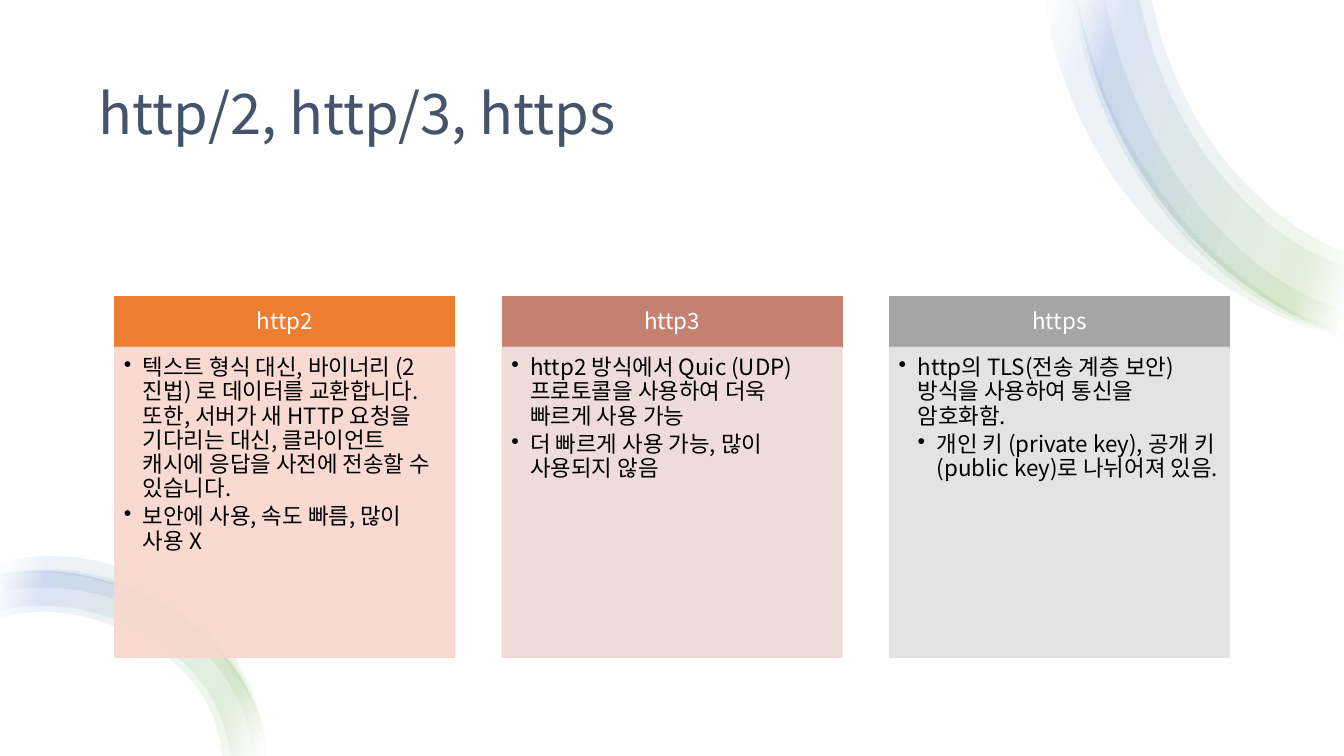
"""Build the slide comparing http/2, http/3 and https."""
import math
from dataclasses import dataclass

from lxml import etree
from pptx import Presentation
from pptx import util as u
from pptx.dml.color import RGBColor
from pptx.enum import shapes, text
from pptx.oxml.ns import qn

COLORS = {
    "white": "FFFFFF", "ink": "000000", "title": "44546A",
    "green": "70AD47", "blue": "4472C4",
    "orange": "ED7D31", "peach": "F8D7CE",
    "clay": "C48170", "rose": "EDD9D7",
    "gray": "A5A5A5", "mist": "E1E1E1",
}
FONT = "Noto Sans CJK KR"
CELL = u.Inches(0.1)
COLUMNS, ROWS = 133.33, 75
FIRST_COLUMN, COLUMN_STEP, CARD_COLUMNS = 11.4, 38.43, 33.7
HEADER_ROW, HEADER_ROWS, BODY_ROWS = 29.42, 5.04, 30.74
RIBBON_STOPS = ((2, "white"), (16, "green"), (85, "blue"), (100, "white"))

Curve = list[tuple[float, float]]


@dataclass(frozen=True)
class Ribbon:
    """A band between two curves, in grid cells."""
    outer: Curve
    inner: Curve


@dataclass(frozen=True)
class Point:
    """A bulleted statement and its outline level."""
    words: str
    level: int = 1


@dataclass(frozen=True)
class Card:
    """A protocol with its colours and statements."""
    protocol: str
    header: str
    body: str
    points: tuple[Point, ...]


TOP_EDGE = [(106.7, -0.9), (109.9, 10.7), (115.2, 20), (122.4, 27.4), (130.9, 32.4), (133.3, 33.2)]
BOTTOM_EDGE = [(0, 57.2), (4, 56.7), (11.7, 58), (18.5, 61.6), (23.6, 66.9), (26.2, 73.5), (26.3, 75)]

RIBBONS = (
    Ribbon([(103.6, -0.9), (104.1, 2.6), (107.8, 13.1), (111.6, 19.2), (116.5, 24.5),
            (122.1, 28.7), (128.2, 31.9), (133.3, 33.5)],
           [(106.8, -0.9), (108.2, 5.2), (110.6, 11.5), (114, 17.3), (118.1, 22.7),
            (123, 27.3), (128.6, 31), (133.3, 32.8)]),
    Ribbon(TOP_EDGE, [(114.1, -0.9), (115.8, 5.5), (121.9, 16.4), (130.7, 23.8), (133.3, 25.1)]),
    Ribbon([(106.3, -0.9), (106.8, 2), (109.9, 11.9), (113.2, 17.9), (117.3, 23.3),
            (122.3, 27.9), (127.9, 31.4), (133.3, 33.3)],
           [(109.6, -0.9), (110.7, 4.4), (112.9, 10.4), (119.5, 21.1), (123.9, 25.5),
            (129, 29), (133.3, 30.8)]),
    Ribbon(TOP_EDGE, [(112.9, -0.9), (114.7, 5.9), (121, 17.2), (130.1, 25), (133.3, 26.4)]),
    Ribbon(BOTTOM_EDGE, [(0, 61.3), (4, 60.7), (10.7, 61.9), (16.6, 65.2), (20.6, 70), (22, 75)]),
    Ribbon(BOTTOM_EDGE, [(0, 60.6), (4, 60.1), (10.9, 61.3), (17, 64.7), (21.2, 69.7), (22.8, 75)]),
    Ribbon([(0, 57.1), (3.1, 56.6), (6.9, 56.7), (14.2, 58.7), (20.3, 62.7), (24.7, 68.5), (26.3, 75)],
           [(0, 58.8), (3.3, 58.4), (6.7, 58.5), (13.4, 60.3), (19.2, 63.9), (23.4, 69.1), (25.1, 75)]),
    Ribbon([(0, 55.9), (3.1, 55.3), (7.1, 55.3), (14.8, 57.5), (19.6, 60.9), (23.3, 65.3),
            (25, 68.7), (26.4, 75)],
           [(0, 57.2), (3.2, 56.8), (6.9, 57), (12.2, 58.4), (17.1, 60.9), (22.5, 65.8),
            (25.2, 70.5), (26.2, 75)]),
)

CARDS = (
    Card("http2", "orange", "peach", (
        Point("텍스트 형식 대신, 바이너리 (2진법) 로 데이터를 교환합니다. 또한, 서버가 새 HTTP 요청을 "
              "기다리는 대신, 클라이언트 캐시에 응답을 사전에 전송할 수 있습니다."),
        Point("보안에 사용, 속도 빠름, 많이 사용 X"))),
    Card("http3", "clay", "rose", (
        Point("http2 방식에서 Quic (UDP) 프로토콜을 사용하여 더욱 빠르게 사용 가능"),
        Point("더 빠르게 사용 가능, 많이 사용되지 않음"))),
    Card("https", "gray", "mist", (
        Point("http의 TLS(전송 계층 보안)방식을 사용하여 통신을 암호화함."),
        Point("개인 키 (private key), 공개 키 (public key)로 나뉘어져 있음.", 2))),
)


def cells(count: float) -> u.Emu:
    """Convert grid cells to a length."""
    return u.Emu(round(count * CELL))


def rgb(name: str) -> RGBColor:
    """Look up a named colour."""
    return RGBColor.from_string(COLORS[name])


def bend(nodes: list, lines: list) -> None:
    """Turn the lines between a curve's nodes into smooth Bezier segments."""
    chords = [math.dist(a, b) for a, b in zip(nodes, nodes[1:])]
    slopes = [[(q - p) / chord for p, q in zip(a, b)]
              for a, b, chord in zip(nodes, nodes[1:], chords)]
    tangents = [[(s * after + t * before) / (before + after) for s, t in zip(left, right)]
                for left, right, before, after in zip(slopes, slopes[1:], chords, chords[1:])]
    first = [2 * s - t for s, t in zip(slopes[0], tangents[0])]
    last = [2 * s - t for s, t in zip(slopes[-1], tangents[-1])]
    tangents = [first, *tangents, last]
    for i, line in enumerate(lines):
        reach = chords[i] / 3
        leaving = [p + t * reach for p, t in zip(nodes[i], tangents[i])]
        arriving = [p - t * reach for p, t in zip(nodes[i + 1], tangents[i + 1])]
        segment = etree.Element(qn("a:cubicBezTo"))
        for x, y in (leaving, arriving, nodes[i + 1]):
            etree.SubElement(segment, qn("a:pt"), x=str(round(x)), y=str(round(y)))
        line.getparent().replace(line, segment)


def set_opacity(shape, percent: int) -> None:
    """Make every colour of a shape's fill and line translucent."""
    for color in shape._element.spPr.iter(qn("a:srgbClr")):
        etree.SubElement(color, qn("a:alpha"), val=str(percent * 1000))


def draw_ribbon(slide, ribbon: Ribbon) -> None:
    """Draw one translucent gradient band."""
    outline = [(cells(x), cells(y)) for x, y in ribbon.outer + ribbon.inner[::-1]]
    builder = slide.shapes.build_freeform(*outline[0])
    builder.add_line_segments(outline[1:], close=True)
    band = builder.convert_to_shape()
    band.shadow.inherit = False
    band.line.fill.background()

    nodes = [(int(p.get("x")), int(p.get("y"))) for p in band._element.spPr.iter(qn("a:pt"))]
    lines = list(band._element.spPr.iter(qn("a:lnTo")))
    turn = len(ribbon.outer)
    bend(nodes[:turn], lines[:turn - 1])
    bend(nodes[turn:len(outline)], lines[turn:len(outline) - 1])

    band.fill.gradient()
    band.fill.gradient_angle = 160
    stops = band._element.spPr.find(".//" + qn("a:gsLst"))
    for stop in list(stops):
        stops.remove(stop)
    for position, name in RIBBON_STOPS:
        stop = etree.SubElement(stops, qn("a:gs"), pos=str(position * 1000))
        etree.SubElement(stop, qn("a:srgbClr"), val=COLORS[name])
    set_opacity(band, 10)


def style(paragraph, size: int, color: str) -> None:
    """Set spacing, font and colour of a paragraph."""
    paragraph.line_spacing = 0.9
    font = paragraph.font
    font.size, font.name, font.color.rgb = u.Pt(size), FONT, rgb(color)


def add_panel(slide, column: float, row: float, width: float, height: float, color: str):
    """Add a filled rectangle placed on the grid."""
    panel = slide.shapes.add_shape(shapes.MSO_SHAPE.RECTANGLE, cells(column), cells(row),
                                   cells(width), cells(height))
    panel.shadow.inherit = False
    panel.fill.solid()
    panel.fill.fore_color.rgb = panel.line.color.rgb = rgb(color)
    panel.line.width = u.Pt(1)
    return panel


def draw_card(slide, card: Card, column: float) -> None:
    """Draw a card's header and its bulleted body."""
    header = add_panel(slide, column, HEADER_ROW, CARD_COLUMNS, HEADER_ROWS, card.header)
    heading = header.text_frame.paragraphs[0]
    heading.text, heading.alignment = card.protocol, text.PP_ALIGN.CENTER
    style(heading, 16, "white")

    body = add_panel(slide, column, HEADER_ROW + HEADER_ROWS, CARD_COLUMNS, BODY_ROWS, card.body)
    set_opacity(body, 90)
    frame = body.text_frame
    frame.vertical_anchor = text.MSO_ANCHOR.TOP
    frame.margin_left = frame.margin_top = cells(0.9)
    frame.margin_right, frame.margin_bottom = cells(1.2), cells(1.4)
    for index, point in enumerate(card.points):
        paragraph = frame.add_paragraph() if index else frame.paragraphs[0]
        paragraph.text, paragraph.level = point.words, point.level
        paragraph.alignment, paragraph.space_after = text.PP_ALIGN.LEFT, u.Pt(3)
        properties = paragraph._p.get_or_add_pPr()
        properties.set("marL", str(cells(1.88 * point.level)))
        properties.set("indent", str(cells(-1.88)))
        etree.SubElement(properties, qn("a:buChar"), char="•")
        style(paragraph, 16, "ink")


def draw_title(slide, words: str) -> None:
    """Write the slide's title."""
    frame = slide.shapes.add_textbox(cells(8.8), cells(5), cells(115.7), cells(13)).text_frame
    frame.word_wrap, frame.vertical_anchor = True, text.MSO_ANCHOR.MIDDLE
    frame.text = words
    style(frame.paragraphs[0], 40, "title")


def main() -> None:
    """Build and save the presentation."""
    deck = Presentation()
    deck.slide_width, deck.slide_height = cells(COLUMNS), cells(ROWS)
    slide = deck.slides.add_slide(deck.slide_layouts[6])
    add_panel(slide, 0, 0, COLUMNS, ROWS, "white").line.fill.background()
    for ribbon in RIBBONS:
        draw_ribbon(slide, ribbon)
    draw_title(slide, "http/2, http/3, https")
    for index, card in enumerate(CARDS):
        draw_card(slide, card, FIRST_COLUMN + index * COLUMN_STEP)
    deck.save("out.pptx")


if __name__ == "__main__":
    main()
